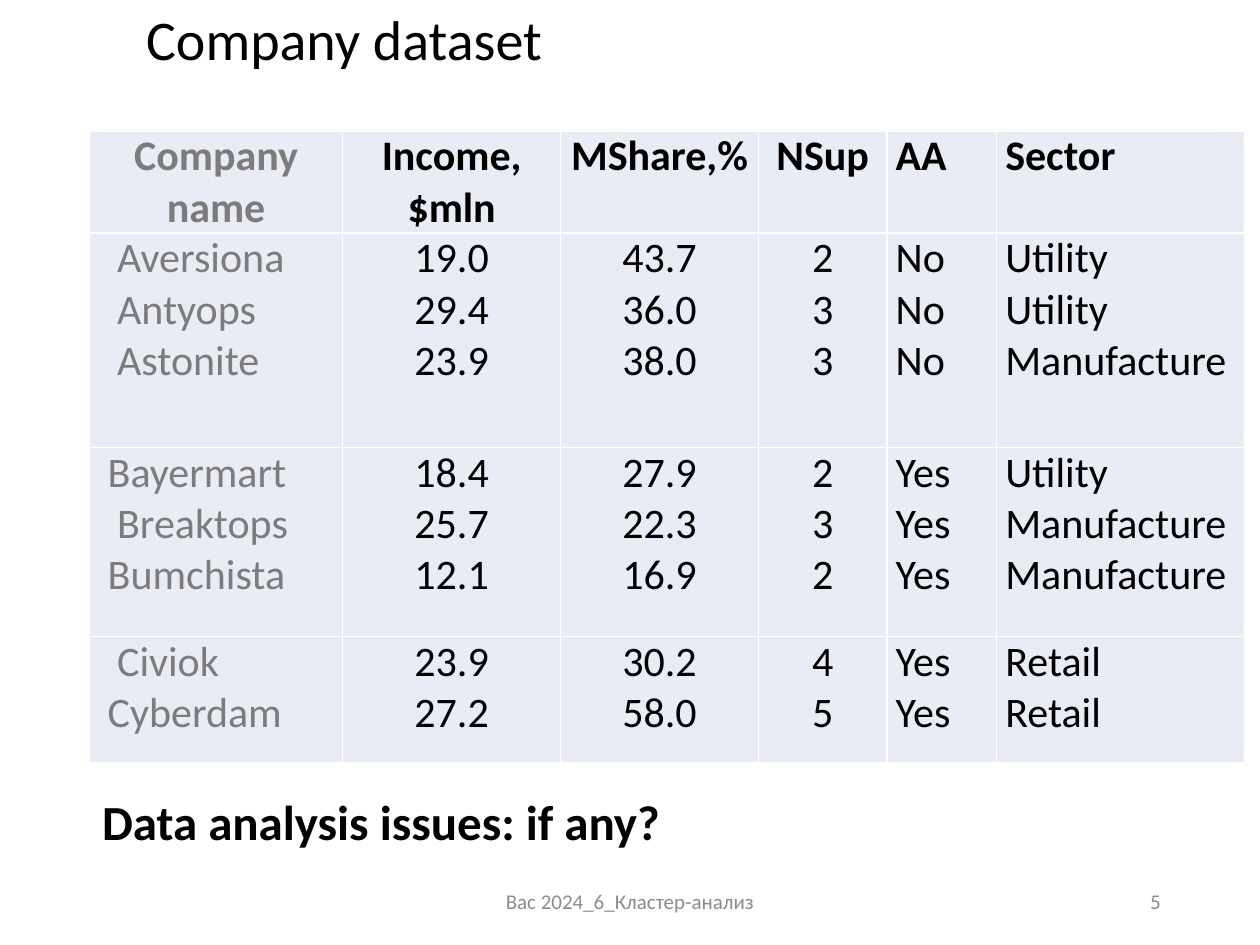
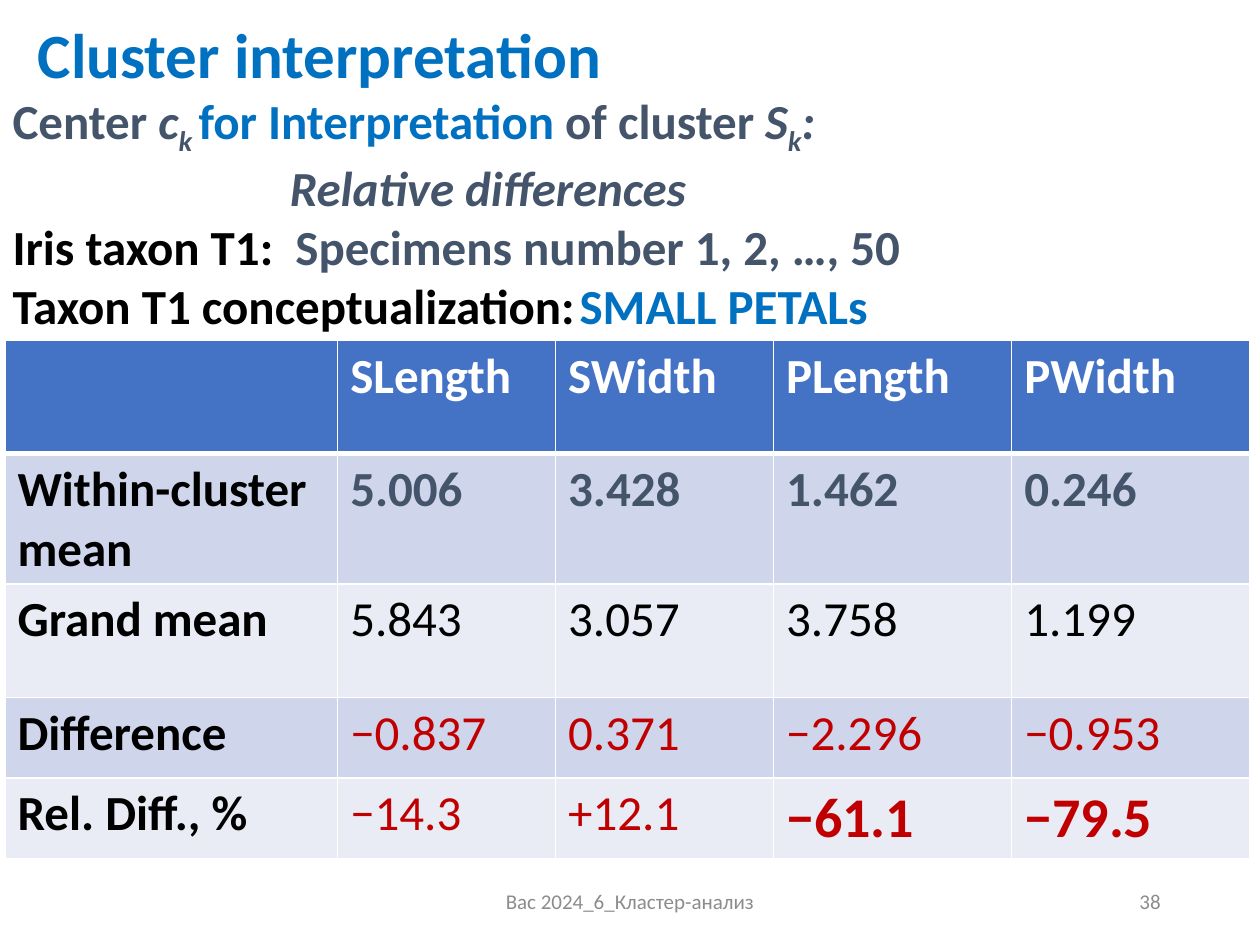
from lxml.etree import SubElement, Element
from pptx import Presentation
from pptx.dml.color import RGBColor
from pptx.enum.text import MSO_ANCHOR as Anchor, MSO_AUTO_SIZE as AutoSize, PP_ALIGN as Align
from pptx.oxml.ns import qn
from pptx.util import Inches, Pt

COLORS = {
    "black": "000000", "white": "FFFFFF", "footer": "8C8C8C", "name": "7C7C7C",
    "blue": "0070C0", "slate": "44546A", "red": "C00000",
    "header": "4472C4", "band": "CFD5EA", "pale": "E9EBF5",
}
FONT = "Calibri"

presentation = Presentation()
presentation.slide_width, presentation.slide_height = Inches(10), Inches(7.5)
UNIT = presentation.slide_width // 100  # the slide is a grid of 100 columns by 75 rows


def write(paragraph, text, size, color="black", bold=False, italic=False, subscript=False):
    run = paragraph.add_run()
    run.text = text
    font = run.font
    font.name, font.size, font.bold, font.italic = FONT, Pt(size), bold, italic
    font.color.rgb = RGBColor.from_string(COLORS[color])
    if subscript:
        run._r.get_or_add_rPr().set("baseline", "-25000")


def style_cell(cell, fill, top=1, bottom=1):
    """Fill a cell and give it white borders, in points."""
    cell.fill.solid()
    cell.fill.fore_color.rgb = RGBColor.from_string(COLORS[fill])
    properties = cell._tc.get_or_add_tcPr()
    borders = {"a:lnL": 1, "a:lnR": 1, "a:lnT": top, "a:lnB": bottom}
    for position, (tag, width) in enumerate(borders.items()):
        line = Element(qn(tag), w=str(Pt(width)))
        SubElement(SubElement(line, qn("a:solidFill")), qn("a:srgbClr"), val=COLORS["white"])
        properties.insert(position, line)


# Shared frame: title, body, footer and page number
pages = [
    {"title": "Company dataset", "size": 32, "color": "black", "bold": False, "number": "5",
     "title_at": (10.6, 0, 87.1, 6.8), "body_at": (7.1, 62.3, 92.9, 6),
     "table_at": (7.1, 10.4), "columns": (20.1, 17.3, 15.7, 10.2, 8.7, 19.7),
     "rows": (8.1, 17, 15, 10)},
    {"title": "Cluster interpretation", "size": 36, "color": "blue", "bold": True, "number": "38",
     "title_at": (2, 1.1, 98, 7), "body_at": (0, 6.7, 100, 20),
     "table_at": (0.4, 27), "columns": (26.4, 17.3, 17.3, 18.9, 18.9),
     "rows": (9, 10.3, 9, 6.4, 6.4)},
]
bodies, tables = [], []
for page in pages:
    slide = presentation.slides.add_slide(presentation.slide_layouts[1])
    title, body = slide.shapes.title, slide.placeholders[1]
    for shape, place in ((title, page["title_at"]), (body, page["body_at"])):
        shape.left, shape.top, shape.width, shape.height = [int(UNIT * n) for n in place]
        shape.text_frame.auto_size = AutoSize.NONE
    title.text_frame.vertical_anchor = Anchor.MIDDLE
    heading = title.text_frame.paragraphs[0]
    heading.alignment, heading.line_spacing = Align.LEFT, 0.9
    write(heading, page["title"], page["size"], page["color"], page["bold"])
    bodies.append(body.text_frame)

    for left, width, text, alignment in (
        (33.1, 33.8, "Bac 2024_6_Кластер-анализ", Align.CENTER),
        (70.6, 22.5, page["number"], Align.RIGHT),
    ):
        footer = slide.shapes.add_textbox(*[int(UNIT * n) for n in (left, 69.5, width, 4)])
        footer.text_frame.word_wrap = True
        footer.text_frame.vertical_anchor = Anchor.MIDDLE
        paragraph = footer.text_frame.paragraphs[0]
        paragraph.alignment = alignment
        write(paragraph, text, 12, "footer")

    size = (*page["table_at"], sum(page["columns"]), sum(page["rows"]))
    table = slide.shapes.add_table(len(page["rows"]), len(page["columns"]),
                                   *[int(UNIT * n) for n in size]).table
    for column, width in zip(table.columns, page["columns"]):
        column.width = int(UNIT * width)
    for row, height in zip(table.rows, page["rows"]):
        row.height = int(UNIT * height)
    tables.append(table)

# Company table: one row per group, one paragraph per company
company_groups = [
    [("Company name", "Income, $mln", "MShare,%", "NSup", "AA", "Sector")],
    [("Aversiona", "19.0", "43.7", "2", "No", "Utility"),
     ("Antyops", "29.4", "36.0", "3", "No", "Utility"),
     ("Astonite", "23.9", "38.0", "3", "No", "Manufacture")],
    [("Bayermart", "18.4", "27.9", "2", "Yes", "Utility"),
     ("Breaktops", "25.7", "22.3", "3", "Yes", "Manufacture"),
     ("Bumchista", "12.1", "16.9", "2", "Yes", "Manufacture")],
    [("Civiok", "23.9", "30.2", "4", "Yes", "Retail"),
     ("Cyberdam", "27.2", "58.0", "5", "Yes", "Retail")],
]
less_indented = {"Bayermart", "Bumchista", "Cyberdam"}
for row_index, group in enumerate(company_groups):
    is_header = row_index == 0
    for column_index, values in enumerate(zip(*group)):
        cell = tables[0].cell(row_index, column_index)
        style_cell(cell, "pale")
        cell.margin_left = cell.margin_right = int(UNIT * 0.7)
        cell.margin_top = cell.margin_bottom = 0
        is_name = column_index == 0
        for index, value in enumerate(values):
            frame = cell.text_frame
            paragraph = frame.add_paragraph() if index else frame.paragraphs[0]
            centered = column_index < 4 and (is_header or not is_name)
            paragraph.alignment = Align.CENTER if centered else Align.LEFT
            if is_name and not is_header:
                indent = 0.75 if value in less_indented else 1.5
                paragraph._p.get_or_add_pPr().set("marL", str(int(UNIT * indent)))
            write(paragraph, value, 24, "name" if is_name else "black", is_header)

# Iris table: cluster mean against grand mean
iris_rows = [
    ("", "SLength", "SWidth", "PLength", "PWidth"),
    ("Within-cluster mean", "5.006", "3.428", "1.462", "0.246"),
    ("Grand mean", "5.843", "3.057", "3.758", "1.199"),
    ("Difference", "−0.837", "0.371", "−2.296", "−0.953"),
    ("Rel. Diff., %", "−14.3", "+12.1", "−61.1", "−79.5"),
]
row_fills = ("header", "band", "pale", "band", "pale")
value_colors = ("white", "slate", "black", "red", "red")
for row_index, values in enumerate(iris_rows):
    for column_index, value in enumerate(values):
        cell = tables[1].cell(row_index, column_index)
        style_cell(cell, row_fills[row_index],
                   top=3 if row_index == 1 else 1, bottom=3 if row_index == 0 else 1)
        if not value:
            continue
        is_label = column_index == 0
        is_key = row_index == 4 and column_index > 2
        write(cell.text_frame.paragraphs[0], value, 32 if is_key else 28,
              "black" if is_label else value_colors[row_index],
              bold=is_label or row_index < 2 or is_key)

# Body text: (left indent, tab stop, runs) for each paragraph
slate_italic = {"color": "slate", "italic": True}
slate_subscript = {**slate_italic, "subscript": True}
body_texts = [
    [(0, None, [("Data analysis issues: if any?", {})])],
    [(0, None, [("Center ", {"color": "slate"}), ("c", slate_italic), ("k ", slate_subscript),
                ("for Interpretation ", {"color": "blue"}), ("of cluster ", {"color": "slate"}),
                ("S", slate_italic), ("k", slate_subscript), (":", slate_italic)]),
     (22, None, [("Relative differences", slate_italic)]),
     (0, None, [("Iris taxon T1: ", {}), (" Specimens number 1, 2, …, 50", {"color": "slate"})]),
     (0, 48.9, [("Taxon T1 conceptualization:\t", {}), ("SMALL PETALs", {"color": "blue"})])],
]
for frame, paragraphs in zip(bodies, body_texts):
    for index, (indent, tab, runs) in enumerate(paragraphs):
        paragraph = frame.add_paragraph() if index else frame.paragraphs[0]
        paragraph.space_before = Pt(0)
        properties = paragraph._p.get_or_add_pPr()
        properties.set("marL", str(int(UNIT * indent)))
        properties.set("indent", "0")
        SubElement(properties, qn("a:buNone"))
        if tab:
            tab_list = SubElement(properties, qn("a:tabLst"))
            SubElement(tab_list, qn("a:tab"), pos=str(int(UNIT * tab)), algn="l")
        for text, style in runs:
            write(paragraph, text, 28, bold=True, **style)

presentation.save("out.pptx")
